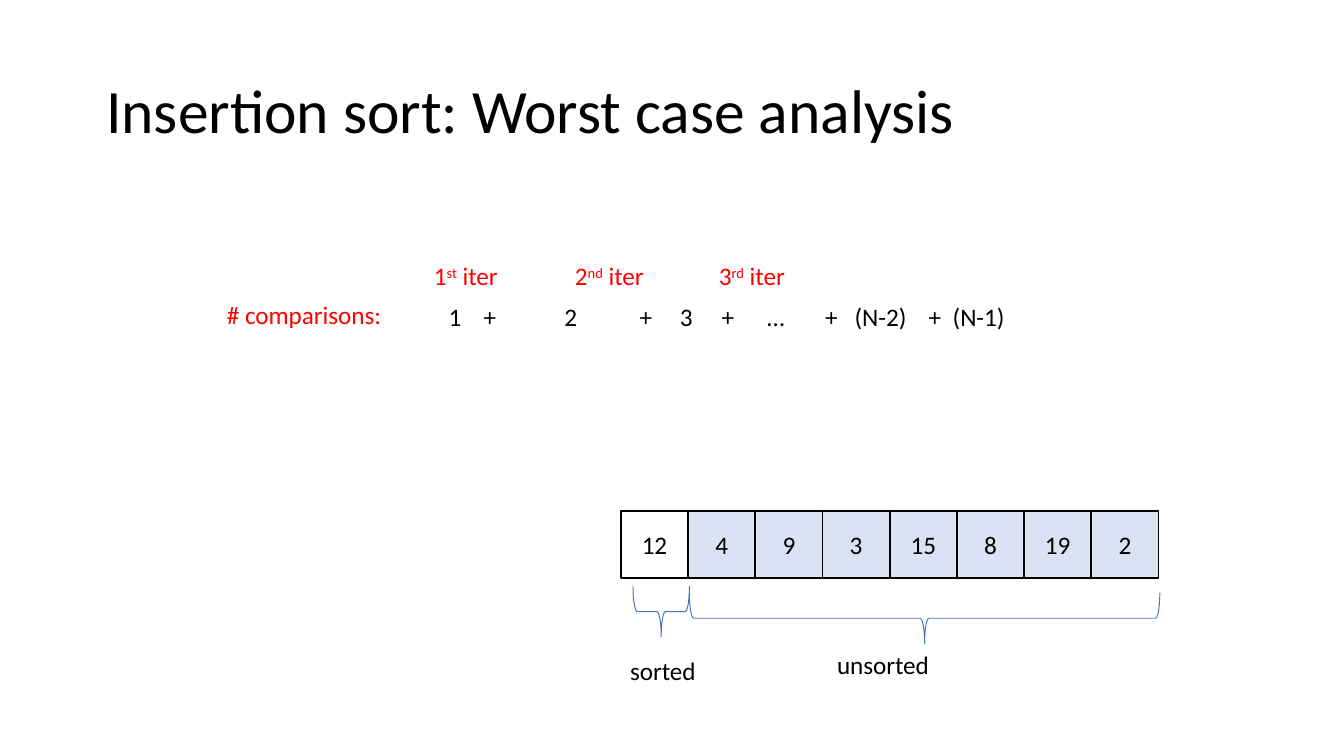
from lxml import etree
from pptx import Presentation
from pptx.dml.color import RGBColor
from pptx.enum.shapes import MSO_SHAPE
from pptx.enum.text import MSO_ANCHOR, MSO_AUTO_SIZE, PP_ALIGN
from pptx.oxml.ns import qn
from pptx.util import Inches, Pt

RECT, BRACE = MSO_SHAPE.RECTANGLE, MSO_SHAPE.LEFT_BRACE
MIDDLE, NO_FIT = MSO_ANCHOR.MIDDLE, MSO_AUTO_SIZE.NONE
LEFT, CENTER = PP_ALIGN.LEFT, PP_ALIGN.CENTER

BLACK = RGBColor(0x00, 0x00, 0x00)
RED = RGBColor(0xFF, 0x00, 0x00)
BLUE = RGBColor(0x44, 0x72, 0xC4)
PALE_BLUE = RGBColor(0xDA, 0xE3, 0xF3)


class Deck:
    """Holds the text style and the current slide, and adds its elements."""

    font = {"name": "Calibri", "size": Pt(13.5)}

    def __init__(self, slide):
        self.slide = slide

    def style(self, font, color, **changes):
        for key, value in {**self.font, **changes}.items():
            setattr(font, key, value)
        font.color.rgb = color

    def title(self, text, *box):
        sp = self.slide.shapes.title
        sp.left, sp.top, sp.width, sp.height = map(Inches, box)
        tf = sp.text_frame
        tf.text = text
        tf.auto_size = NO_FIT
        tf.vertical_anchor = MIDDLE
        p = tf.paragraphs[0]
        p.alignment, p.line_spacing = LEFT, 0.9
        self.style(p.runs[0].font, BLACK, size=Pt(33))

    def label(self, parts, color, *box, tabs=()):
        sp = self.slide.shapes.add_textbox(*map(Inches, box))
        tf = sp.text_frame
        tf.word_wrap = bool(tabs)
        p = tf.paragraphs[0]
        if tabs:
            tab_list = etree.SubElement(p._p.get_or_add_pPr(), qn("a:tabLst"))
            for tab in tabs:
                etree.SubElement(tab_list, qn("a:tab"), pos=str(Inches(tab)), algn="l")
        for text, raised in parts:
            r = p.add_run()
            r.text = text
            self.style(r.font, color)
            if raised:
                r.font._element.set("baseline", "30000")

    def shape(self, kind, line, width, *box, fill=None):
        sp = self.slide.shapes.add_shape(kind, *map(Inches, box))
        sp.shadow.inherit = False
        sp.line.color.rgb, sp.line.width = line, Pt(width)
        if fill is None:
            sp.fill.background()
        else:
            sp.fill.solid()
            sp.fill.fore_color.rgb = fill
        return sp

    def cell(self, value, fill, *box):
        tf = self.shape(RECT, BLACK, 1, *box, fill=fill).text_frame
        tf.text = str(value)
        tf.vertical_anchor = MIDDLE
        p = tf.paragraphs[0]
        p.alignment = CENTER
        self.style(p.runs[0].font, BLACK)

    def brace(self, *box):
        self.shape(BRACE, BLUE, 0.5, *box).rotation = 270


def main():
    prs = Presentation()
    prs.slide_width = Inches(10)
    prs.slide_height = prs.slide_width * 9 // 16
    deck = Deck(prs.slides.add_slide(prs.slide_layouts[5]))
    deck.title("Insertion sort: Worst case analysis", 0.69, 0.3, 8.62, 1.09)

    terms = ["1", "+", "2", "+", "3", "+", "…", "+", "(N-2)", "+", "(N-1)"]
    tabs = [0.26, 0.86, 1.42, 1.72, 2.03, 2.37, 2.8, 3.02, 3.57, 3.75]
    deck.label([("\t".join(terms), False)], BLACK, 3.24, 2.19, 4.41, 0.33, tabs=tabs)
    for number, suffix, x, w in [("1", "st", 3.13, 0.7), ("2", "nd", 4.18, 0.74),
                                 ("3", "rd", 5.25, 0.72)]:
        parts = [(number, False), (suffix, True), (" iter", False)]
        deck.label(parts, RED, x, 1.89, w, 0.33)
    deck.label([("# comparisons:", False)], RED, 1.59, 2.18, 1.37, 0.33)

    side = 0.5
    for i, value in enumerate([12, 4, 9, 3, 15, 8, 19, 2]):
        fill = PALE_BLUE if i else None
        deck.cell(value, fill, 4.62 + i * side, 3.8, side, side)

    deck.brace(6.69, 2.85, 0.38, 3.5)
    deck.brace(4.73, 4.34, 0.38, 0.42)
    deck.label([("unsorted", False)], BLACK, 6.13, 4.78, 0.9, 0.33)
    deck.label([("sorted", False)], BLACK, 4.59, 4.83, 0.7, 0.33)
    prs.save("out.pptx")


if __name__ == "__main__":
    main()
